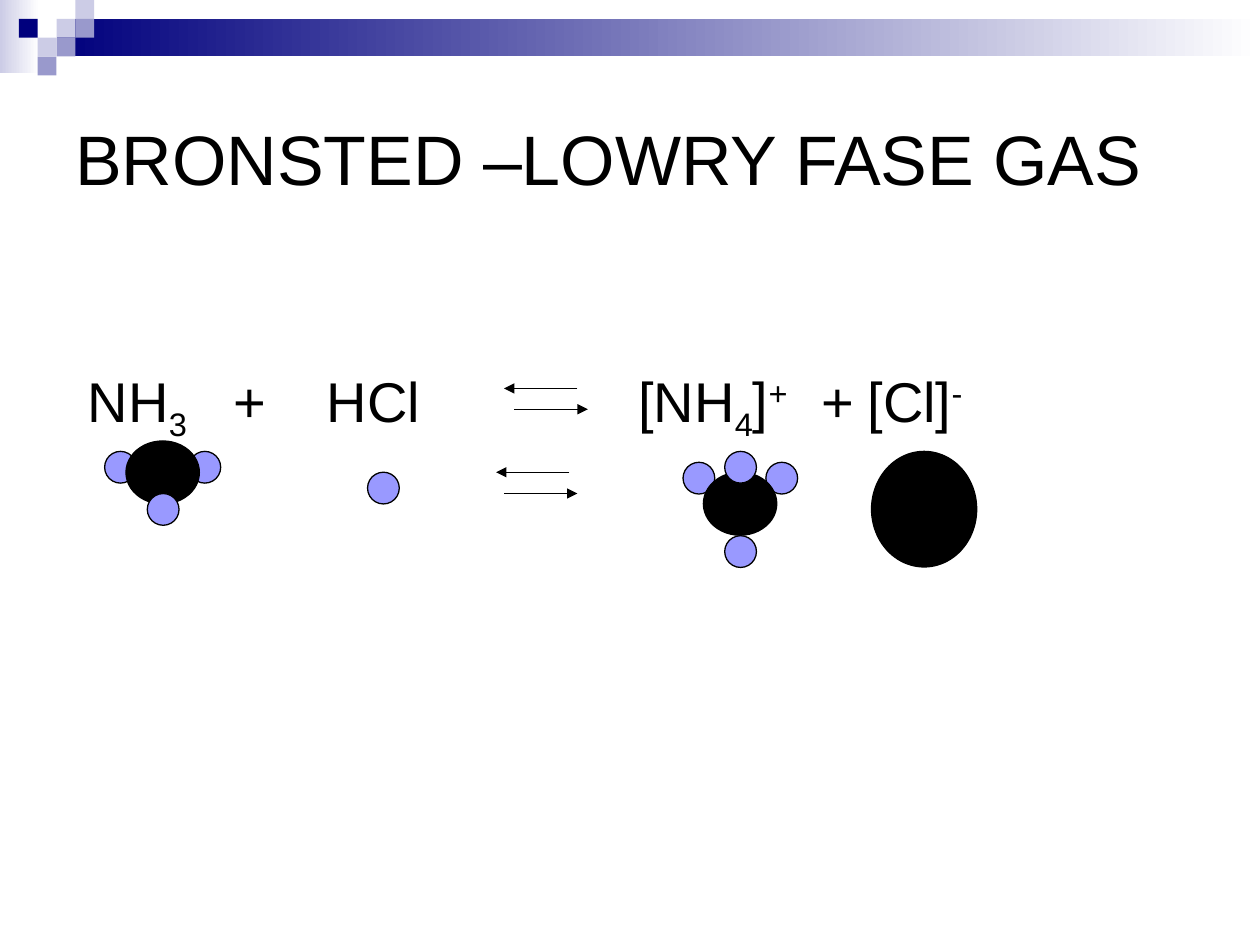
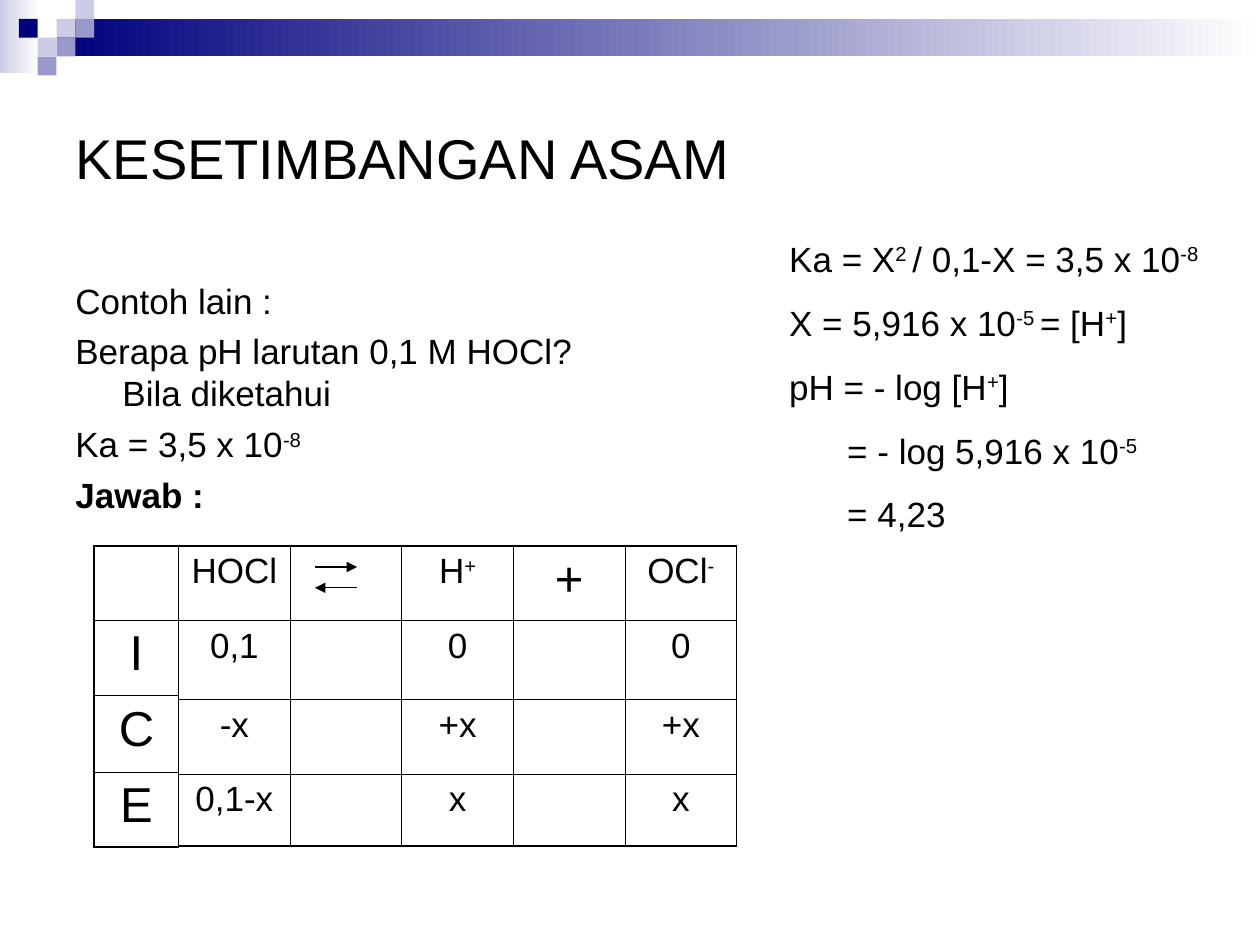
from lxml.etree import SubElement
from pptx import Presentation
from pptx.dml.color import RGBColor
from pptx.enum.shapes import MSO_CONNECTOR, MSO_SHAPE
from pptx.enum.text import MSO_ANCHOR, PP_ALIGN
from pptx.oxml.ns import qn
from pptx.util import Cm, Pt

hue = RGBColor.from_string
INK, NAVY, LILAC, PALE, MID, WHITE = "000000", "00007D", "9999FF", "CCCCE6", "9999CC", "FFFFFF"
FONT = {"name": "Arial", "bold": False}
PLAIN = {"first_row": False, "horz_banding": False}


def draw(slide, kind, box, fill, line=None):
    """Add a preset shape; a pair of fills makes a left-to-right gradient."""
    shape = slide.shapes.add_shape(kind, *map(Cm, box))
    shape.shadow.inherit = False
    if isinstance(fill, tuple):
        shape.fill.gradient()
        shape.fill.gradient_angle = 0
        for stop, tint, place in zip(shape.fill.gradient_stops, fill, (0, 1)):
            stop.color.rgb = hue(tint)
            stop.position = place
    else:
        shape.fill.solid()
        shape.fill.fore_color.rgb = hue(fill)
    if line:
        shape.line.color.rgb = hue(line)
        shape.line.width = Pt(0.75)
    else:
        shape.line.fill.background()


def write(par, text, size, bold=False):
    """Every second part between bars is raised, or lowered if it starts with _."""
    for n, part in enumerate(text.split("|")):
        if not part:
            continue
        run = par.add_run()
        run.text = part.lstrip("_")
        for key, val in {**FONT, "size": Pt(size), "bold": bold}.items():
            setattr(run.font, key, val)
        run.font.color.rgb = hue(INK)
        if n % 2:
            base = "-25000" if part.startswith("_") else "30000"
            run._r.get_or_add_rPr().set("baseline", base)


deck = Presentation()
deck.slide_width, deck.slide_height = Cm(25.4), Cm(19.05)

# Shared band, squares and title
UNIT = 0.38
TILES = [(3, 1, PALE), (4, 0, PALE), (4, 1, MID), (2, 2, PALE),
         (1, 1, NAVY), (3, 2, MID), (2, 3, MID)]
pages = []
for title, size in [("BRONSTED –LOWRY FASE GAS", 40), ("KESETIMBANGAN ASAM", 32)]:
    page = deck.slides.add_slide(deck.slide_layouts[6])
    draw(page, MSO_SHAPE.RECTANGLE, (0, 0, 0.79, 1.47), (PALE, WHITE))
    draw(page, MSO_SHAPE.RECTANGLE, (1.14, 0.38, 24.26, 0.76), (NAVY, WHITE))
    for col, row, tint in TILES:
        draw(page, MSO_SHAPE.RECTANGLE, (col * UNIT, row * UNIT, UNIT, UNIT), tint)
    frame = page.shapes.add_textbox(Cm(1.27), Cm(1.27), Cm(22.86), Cm(3.81)).text_frame
    for key, val in {"word_wrap": True, "vertical_anchor": MSO_ANCHOR.MIDDLE}.items():
        setattr(frame, key, val)
    write(frame.paragraphs[0], title, size)
    pages.append(page)
gas, acid = pages

# Reaction, its terms set on tab stops
frame = gas.shapes.add_textbox(Cm(1.77), Cm(7.39), Cm(22), Cm(1.5)).text_frame
for key, val in {"word_wrap": True, "margin_left": 0, "margin_top": 0}.items():
    setattr(frame, key, val)
par = frame.paragraphs[0]
tabs = SubElement(par._p.get_or_add_pPr(), qn("a:tabLst"))
for stop in (2.93, 4.82, 11.1, 14.79, 15.72):
    SubElement(tabs, qn("a:tab"), pos=str(Cm(stop)), algn="l")
write(par, "NH|_3|\t+\tHCl\t[NH|_4|]|+|\t+\t[Cl]|-|", 32)

# Molecules: left, top, width, height, fill
H, N = (0.64, 0.64, LILAC), (1.48, 1.27, INK)
ATOMS = [(2.11, 9.1, *H), (3.81, 9.1, *H), (2.54, 8.89, *N), (2.97, 9.95, *H),
         (7.41, 9.52, *H),
         (13.77, 9.32, *H), (15.44, 9.32, *H), (14.18, 9.52, *N),
         (14.61, 9.1, *H), (14.61, 10.8, *H),
         (17.57, 9.1, 2.12, 2.33, INK)]
for *box, tint in ATOMS:
    draw(gas, MSO_SHAPE.OVAL, box, tint, INK)

# Problem and solution: indent, first-line offset, text
HANG = (0.95, -0.95)
TASK = [(*HANG, "Contoh lain :"),
        (*HANG, "Berapa pH larutan 0,1 M HOCl? Bila diketahui"),
        (*HANG, "Ka = 3,5 x 10|-8|"),
        (*HANG, "Jawab :")]
SOLVE = [(0, 0, "Ka = X|2 |/ 0,1-X = 3,5 x 10|-8|"),
         (0, 0, "X = 5,916 x 10|-5 |= [H|+|]"),
         (0, 0, "pH = - log [H|+|]"),
         (1.17, 0, "= - log 5,916 x 10|-5|"),
         (1.17, 0, "= 4,23")]
for box, gap, rows in [((1.27, 5.5, 11.23, 5.4), 5, TASK),
                       ((15.66, 4.66, 9.1, 7.54), 12.5, SOLVE)]:
    frame = acid.shapes.add_textbox(*map(Cm, box)).text_frame
    frame.word_wrap = True
    for n, (left, first, text) in enumerate(rows):
        par = frame.add_paragraph() if n else frame.paragraphs[0]
        for key, val in {"space_before": Pt(gap if n else 0), "line_spacing": Pt(24)}.items():
            setattr(par, key, val)
        props = par._p.get_or_add_pPr()
        props.set("marL", str(Cm(left)))
        props.set("indent", str(Cm(first)))
        write(par, text, 20, text == "Jawab :")

# Equilibrium table and its row labels
MAIN = [["HOCl", "", "H|+|", "+", "OCl|-|"],
        ["0,1", "", "0", "", "0"],
        ["-x", "", "+x", "", "+x"],
        ["0,1-x", "", "x", "", "x"]]
SIDE = [[""], ["I"], ["C"], ["E"]]
BIG = {"+", "I", "C", "E"}
for left, wide, highs, data in [(3.6, 2.25, (1.5, 1.6, 1.5, 1.45), MAIN),
                                (1.9, 1.7, (1.5, 1.52, 1.55, 1.5), SIDE)]:
    rows, cols = len(data), len(data[0])
    grid = acid.shapes.add_table(rows, cols, Cm(left), Cm(11),
                                 Cm(wide * cols), Cm(sum(highs))).table
    for key, val in PLAIN.items():
        setattr(grid, key, val)
    for r, high in enumerate(highs):
        grid.rows[r].height = Cm(high)
        for c, text in enumerate(data[r]):
            cell = grid.cell(r, c)
            par = cell.text_frame.paragraphs[0]
            par.alignment = PP_ALIGN.CENTER
            write(par, text, 28 if text in BIG else 20)
            edges = {"L": c == 0, "R": c == cols - 1, "T": r == 0, "B": r == rows - 1}
            props = cell._tc.get_or_add_tcPr()
            for side, outer in edges.items():
                edge = SubElement(props, qn("a:ln" + side), w=str(Pt(1.08 if outer else 0.45)))
                SubElement(SubElement(edge, qn("a:solidFill")), qn("a:srgbClr"), val=INK)
            cell.fill.background()

# Equilibrium arrows: slide, start, end, height
for page, start, end, y in [(gas, 10.37, 11.85, 8.25), (gas, 11.64, 10.16, 7.83),
                            (gas, 10.16, 11.64, 9.95), (gas, 11.48, 10, 9.52),
                            (acid, 6.35, 7.2, 11.43), (acid, 7.2, 6.35, 11.85)]:
    arrow = page.shapes.add_connector(MSO_CONNECTOR.STRAIGHT, Cm(start), Cm(y), Cm(end), Cm(y))
    arrow.line.color.rgb = hue(INK)
    arrow.line.width = Pt(0.75)
    SubElement(arrow.line._get_or_add_ln(), qn("a:tailEnd"), type="triangle")
    SubElement(arrow._element.spPr, qn("a:effectLst"))

deck.save("out.pptx")
